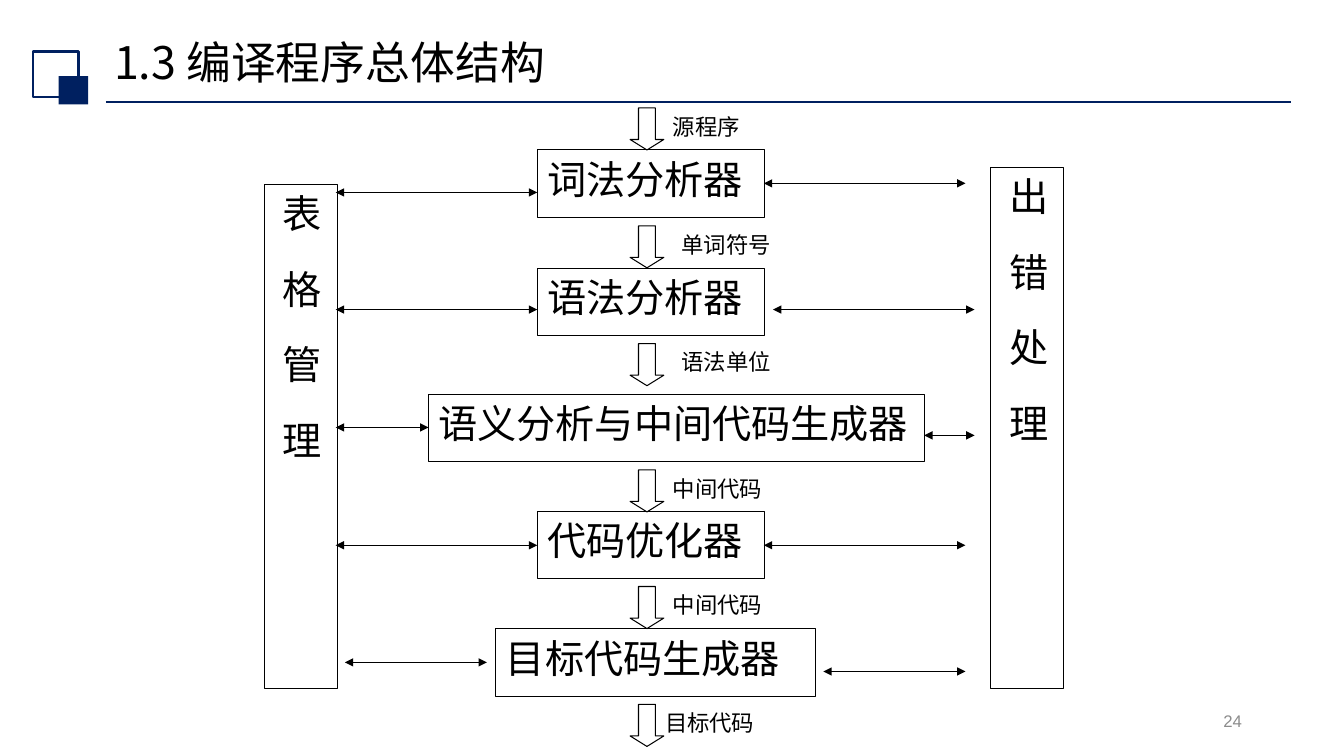
from dataclasses import dataclass

import pptx
import pptx.dml.color
import pptx.enum.shapes
import pptx.enum.text
import pptx.oxml
import pptx.oxml.ns
import pptx.util
from lxml import etree

Cm = pptx.util.Cm
Pt = pptx.util.Pt
qn = pptx.oxml.ns.qn
Shape = pptx.enum.shapes.MSO_SHAPE
Anchor = pptx.enum.text.MSO_ANCHOR
Align = pptx.enum.text.PP_ALIGN


@dataclass(frozen=True)
class Theme:
    ink: str = "000000"
    navy: str = "002060"
    grey: str = "8C8C8C"
    cjk: str = "Noto Sans CJK SC"
    latin: str = "Arial"
    title: int = 32
    stage: int = 28
    flow: int = 16
    number: int = 12
    hairline: float = 0.75


def rgb(colour):
    return pptx.dml.color.RGBColor.from_string(colour)


class Diagram:
    """Draws themed elements on one slide; lengths are centimetres."""

    def __init__(self, slide, theme):
        self.slide = slide
        self.theme = theme

    def set_text(self, frame, text, size, colour=None, font=None,
                 align=Align.LEFT, anchor=Anchor.TOP, tracking=0):
        """Fill a text frame; tracking is extra letter spacing in points."""
        frame.word_wrap = True
        frame.vertical_anchor = anchor
        paragraph = frame.paragraphs[0]
        paragraph.text = text
        paragraph.alignment = align
        paragraph.font.size = Pt(size)
        paragraph.font.name = font or self.theme.cjk
        paragraph.font.color.rgb = rgb(colour or self.theme.ink)
        properties = paragraph._p.pPr.find(qn("a:defRPr"))
        east_asian = etree.SubElement(properties, qn("a:ea"))
        east_asian.set("typeface", font or self.theme.cjk)
        if tracking:
            properties.set("spc", str(tracking * 100))
        return paragraph

    def title(self, text, left, top, width, height):
        heading = self.slide.shapes.title
        heading.left, heading.top = Cm(left), Cm(top)
        heading.width, heading.height = Cm(width), Cm(height)
        paragraph = self.set_text(heading.text_frame, text, self.theme.title,
                                  anchor=Anchor.MIDDLE)
        paragraph.line_spacing = 0.9

    def shape(self, kind, left, top, width, height,
              line=None, weight=None, fill=None):
        outline = self.slide.shapes.add_shape(
            kind, Cm(left), Cm(top), Cm(width), Cm(height))
        outline.shadow.inherit = False
        if fill:
            outline.fill.solid()
            outline.fill.fore_color.rgb = rgb(fill)
            outline.line.fill.background()
        else:
            outline.fill.background()
            outline.line.color.rgb = rgb(line or self.theme.ink)
            outline.line.width = Pt(weight or self.theme.hairline)
        return outline

    def stage(self, text, left, top, width, height):
        box = self.shape(Shape.RECTANGLE, left, top, width, height)
        self.set_text(box.text_frame, text, self.theme.stage)

    def pillar(self, text, left, top, width, height):
        """Tall box with spaced vertical lettering."""
        box = self.shape(Shape.RECTANGLE, left, top, width, height)
        self.set_text(box.text_frame, text, self.theme.stage,
                      anchor=Anchor.MIDDLE, tracking=26)
        box.text_frame._txBody.bodyPr.set("vert", "eaVert")

    def label(self, text, left, top, width, height, size, **style):
        box = self.slide.shapes.add_textbox(
            Cm(left), Cm(top), Cm(width), Cm(height))
        self.set_text(box.text_frame, text, size, **style)

    def flow_arrow(self, left, top, width, height):
        arrow = self.shape(Shape.DOWN_ARROW, left, top, width, height)
        arrow.adjustments[0] = 0.5
        arrow.adjustments[1] = 0.31

    def rule(self, start, end, y, colour=None, weight=None, arrows=False):
        """Horizontal line, with an arrowhead at both ends if asked."""
        line = self.slide.shapes.add_connector(
            pptx.enum.shapes.MSO_CONNECTOR.STRAIGHT,
            Cm(start), Cm(y), Cm(end), Cm(y))
        line.line.color.rgb = rgb(colour or self.theme.ink)
        line.line.width = Pt(weight or self.theme.hairline)
        if arrows:
            stroke = line.line._get_or_add_ln()
            for tip in ("a:headEnd", "a:tailEnd"):
                etree.SubElement(stroke, qn(tip)).set("type", "triangle")
        etree.SubElement(line._element.spPr, qn("a:effectLst"))


# name, left, top, width
STAGES = [
    ("词法分析器", 13.54, 3.78, 5.72),
    ("语法分析器", 13.54, 6.76, 5.72),
    ("语义分析与中间代码生成器", 10.8, 9.93, 12.5),
    ("代码优化器", 13.54, 12.88, 5.72),
    ("目标代码生成器", 12.5, 15.85, 8.05),
]
# what is passed on, label left, top
FLOWS = [
    ("源程序", 16.71, 2.72),
    ("单词符号", 16.93, 5.69),
    ("语法单位", 16.93, 8.66),
    ("中间代码", 16.71, 11.84),
    ("中间代码", 16.71, 14.78),
    ("目标代码", 16.51, 17.75),
]
# start, end, height on the slide
TABLE_LINKS = [
    (8.46, 13.54, 4.85),
    (8.46, 13.54, 7.8),
    (8.46, 10.8, 10.77),
    (8.46, 13.54, 13.74),
    (8.69, 12.27, 16.69),
]
ERROR_LINKS = [
    (19.25, 24.33, 4.62),
    (19.48, 24.56, 7.8),
    (23.29, 24.56, 10.97),
    (19.25, 24.33, 13.74),
    (20.75, 24.33, 16.92),
]


def main():
    deck = pptx.Presentation()
    deck.slide_width, deck.slide_height = Cm(33.87), Cm(19.05)
    theme = Theme()
    diagram = Diagram(deck.slides.add_slide(deck.slide_layouts[5]), theme)

    diagram.rule(2.67, 32.54, 2.57, theme.navy, 1.25)
    diagram.shape(Shape.RECTANGLE, 0.84, 1.3, 1.14, 1.14, theme.navy, 1.5)
    diagram.shape(Shape.RECTANGLE, 1.48, 1.92, 0.74, 0.71, fill=theme.navy)
    diagram.title("1.3 编译程序总体结构", 2.62, 0.86, 29.21, 1.55)
    diagram.label("24", 23.93, 17.65, 7.62, 1.02, theme.number,
                  colour=theme.grey, font=theme.latin,
                  align=Align.RIGHT, anchor=Anchor.MIDDLE)

    diagram.pillar("表格管理", 6.67, 4.64, 1.84, 12.7)
    diagram.pillar("出错处理", 24.97, 4.22, 1.84, 13.12)
    for start, end, y in TABLE_LINKS + ERROR_LINKS:
        diagram.rule(start, end, y, arrows=True)
    for name, left, top, width in STAGES:
        diagram.stage(name, left, top, width, 1.7)
    for product, left, top in FLOWS:
        diagram.flow_arrow(15.88, top, 0.85, 1.06)
        diagram.label(product, left, top, 3.39, 0.85, theme.flow)

    deck.save("out.pptx")


if __name__ == "__main__":
    main()
